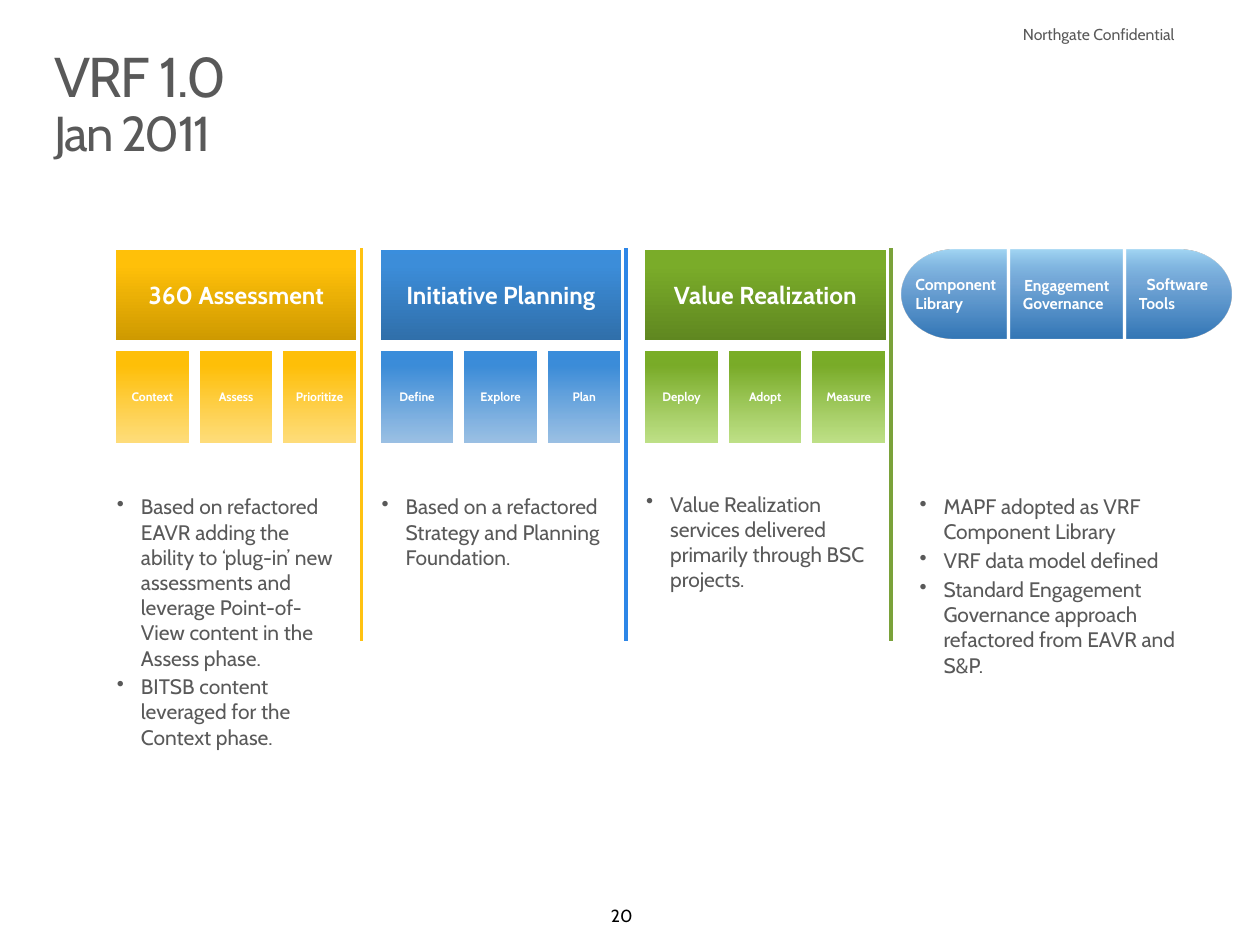
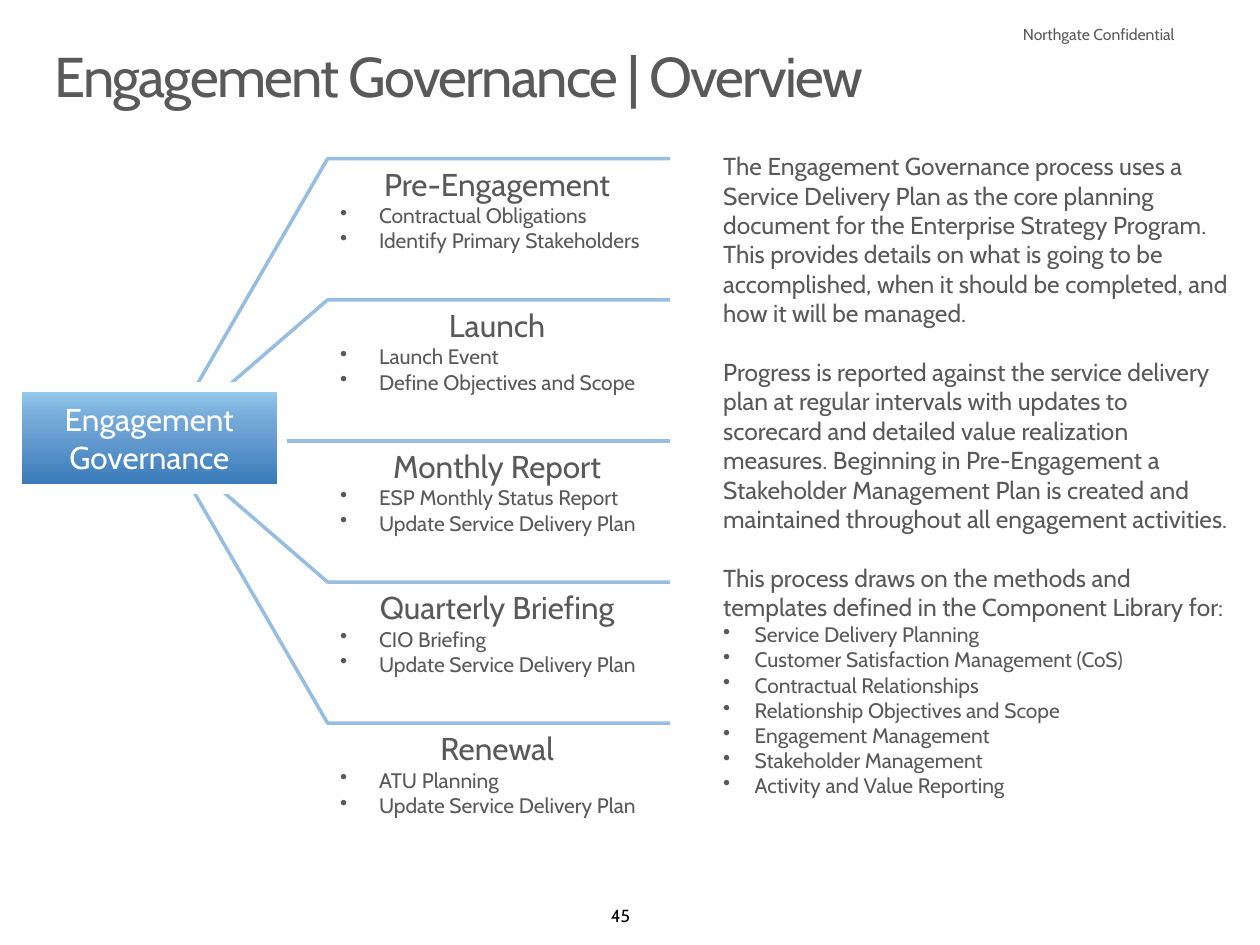
from pptx import Presentation
from pptx.dml.color import RGBColor as Rgb
from pptx.enum.shapes import MSO_CONNECTOR as Link, MSO_SHAPE as Kind
from pptx.enum.text import MSO_ANCHOR as Anchor, PP_ALIGN as Align
from pptx.oxml import parse_xml as to_xml
from pptx.oxml.ns import nsdecls as names, qn
from pptx.oxml.xmlchemy import OxmlElement as Node
from pptx.util import Inches, Pt

FONT = "Cabin"
HEX = {
    "text": "595959", "black": "000000", "white": "FFFFFF", "branch": "97BDE1",
    "gold": "FFC211", "blue": "2D86E7", "green": "7AA23A",
}
FADES = {
    "gold": ["CB9700", "FFD865", "FFC009", "FFC00A"],
    "blue": ["2F6DA7", "8BB6DF", "3C8DD9", "3A8EDD"],
    "green": ["5E8520", "B5DE73", "7AAC29", "7BAF27"],
}
GLOSS = [(0, "3477B6", 100), (63, "3B83C7", 71), (100, "A4D7F4", 100)]
MID = {"align": Align.CENTER}

PILLARS = [
    ("360 Assessment", "gold", ["Context", "Assess", "Prioritize"], 3.87, [
        "Based on refactored EAVR adding the ability to ‘plug-in’ new assessments "
        "and leverage Point-of-View content in the Assess phase.",
        "BITSB content leveraged for the Context phase."]),
    ("Initiative Planning", "blue", ["Define", "Explore", "Plan"], 3.87, [
        "Based on a refactored Strategy and Planning Foundation."]),
    ("Value Realization", "green", ["Deploy", "Adopt", "Measure"], 3.85, [
        "Value Realization services delivered primarily through BSC projects."]),
]
PILLS = [
    (["Component", "Library"], Kind.FLOWCHART_DELAY, 0.83, Align.RIGHT, (0, 0.1)),
    (["Engagement", "Governance"], Kind.FLOWCHART_PROCESS, 0.89, Align.CENTER, (0.1, 0.1)),
    (["Software", "Tools"], Kind.FLOWCHART_DELAY, 0.83, Align.LEFT, (0.1, 0)),
]
ASSETS = [
    "MAPF adopted as VRF Component Library",
    "VRF data model defined",
    "Standard Engagement Governance approach refactored from EAVR and S&P.",
]
STAGES = [
    ("Pre-Engagement", ["Contractual Obligations", "Identify Primary Stakeholders"]),
    ("Launch", ["Launch Event", "Define Objectives and Scope"]),
    ("Monthly Report", ["ESP Monthly Status Report", "Update Service Delivery Plan"]),
    ("Quarterly Briefing", ["CIO Briefing", "Update Service Delivery Plan"]),
    ("Renewal", ["ATU Planning", "Update Service Delivery Plan"]),
]
STORY = [
    "The Engagement Governance process uses a Service Delivery Plan as the core planning "
    "document for the Enterprise Strategy Program. This provides details on what is going "
    "to be accomplished, when it should be completed, and how it will be managed.",
    "Progress is reported against the service delivery plan at regular intervals with "
    "updates to scorecard and detailed value realization measures. Beginning in "
    "Pre-Engagement a Stakeholder Management Plan is created and maintained throughout "
    "all engagement activities.",
    "This process draws on the methods and templates defined in the Component Library for:",
]
METHODS = [
    "Service Delivery Planning",
    "Customer Satisfaction Management (CoS)",
    "Contractual Relationships",
    "Relationship Objectives and Scope",
    "Engagement Management",
    "Stakeholder Management",
    "Activity and Value Reporting",
]


def apply(item, looks):
    """Set each named attribute of an item."""
    for name, value in looks.items():
        setattr(item, name, value)


def ink(run, size, tone="text", bold=False):
    """Style one run of text."""
    apply(run.font, {"name": FONT, "size": Pt(size), "bold": bold})
    run.font.color.rgb = Rgb.from_string(HEX[tone])


def mark(para, indent):
    """Give a paragraph a hanging bullet."""
    props = para._p.get_or_add_pPr()
    props.set("marL", str(Inches(indent)))
    props.set("indent", str(-Inches(indent)))
    dot = Node("a:buChar")
    dot.set("char", "•")
    props.append(dot)


def write(frame, lines, size, tone="text", bold=False, indent=0, gap=0, looks=None):
    """Add lines of one style to a text frame."""
    for line in lines:
        fresh = not frame.text
        para = frame.paragraphs[0] if fresh else frame.add_paragraph()
        if indent:
            mark(para, indent)
        apply(para, {"align": Align.LEFT, "space_before": Pt(0 if fresh else gap), **(looks or {})})
        run = para.add_run()
        run.text = line
        ink(run, size, tone, bold)


def pad(frame, left=0.1, top=0.05, right=0.1, low=0.05):
    """Set the insets of a text frame."""
    apply(frame, {"margin_left": Inches(left), "margin_top": Inches(top),
                  "margin_right": Inches(right), "margin_bottom": Inches(low)})


def label(slide, box):
    """Add an empty wrapping text box and return its frame."""
    frame = slide.shapes.add_textbox(*map(Inches, box)).text_frame
    frame.word_wrap = True
    return frame


def block(slide, kind, box, edge=None, width=6):
    """Add an unfilled shape with an optional outline."""
    shape = slide.shapes.add_shape(kind, *map(Inches, box))
    shape.shadow.inherit = False
    shape.fill.background()
    if edge:
        shape.line.color.rgb = Rgb.from_string(HEX[edge])
        shape.line.width = Pt(width)
    else:
        shape.line.fill.background()
    shape.text_frame.vertical_anchor = Anchor.MIDDLE
    pad(shape.text_frame)
    return shape


def fade(shape, stops):
    """Fill a shape with a gradient that runs from bottom to top."""
    parts = "".join(
        f'<a:gs pos="{pos * 1000}"><a:srgbClr val="{tone}">'
        f'<a:alpha val="{alpha * 1000}"/></a:srgbClr></a:gs>'
        for pos, tone, alpha in stops)
    grad = to_xml(f'<a:gradFill {names("a")} rotWithShape="1"><a:gsLst>{parts}</a:gsLst>'
                  '<a:lin ang="16200000" scaled="0"/></a:gradFill>')
    props = shape.element.spPr
    props.replace(props.find(qn("a:noFill")), grad)


def rule(slide, x, top, low, tone):
    """Draw a vertical divider."""
    line = slide.shapes.add_connector(Link.STRAIGHT, *map(Inches, (x, top, x, low)))
    line.line.color.rgb = Rgb.from_string(HEX[tone])
    line.line.width = Pt(2)
    line.element.spPr.append(Node("a:effectLst"))


def base(deck, number, title, sub=None):
    """Add a slide with its title, page number and notice."""
    slide = deck.slides.add_slide(deck.slide_layouts[6])
    write(label(slide, (4.75, 7.13, 0.51, 0.27)), [number], 10, "black", looks=MID)
    write(label(slide, (8.02, 0.15, 1.64, 0.25)), ["Northgate Confidential"], 9,
          looks={"align": Align.RIGHT})
    head = label(slide, (0.43, 0.39, 9.15, 0.56))
    pad(head, 0, 0, 0, 0)
    write(head, [title], 32, looks={"line_spacing": 0.9})
    para = head.paragraphs[0]
    if sub:
        para.add_line_break()
        run = para.add_run()
        run.text = sub
        ink(run, 28)
    for run in para.runs:
        run.font._element.set("spc", "-100")
    return slide


def pillar(slide, x, y, data):
    """Draw a phase with its steps, divider and notes."""
    title, tone, steps, top, notes = data
    dark, pale, main, peak = FADES[tone]
    wide, step = 1.99, 0.66
    for i, name in enumerate(steps):
        cell = block(slide, Kind.RECTANGLE, (x + i * wide / 3, y + 0.8, step, 0.82), "white")
        fade(cell, [(0, pale, 80), (80, main, 100), (100, peak, 100)])
        write(cell.text_frame, [name], 7, "white", True, looks=MID)
        cell.text_frame.word_wrap = False
    head = block(slide, Kind.RECTANGLE, (x, y, wide, 0.8), "white")
    fade(head, [(0, dark, 100), (80, main, 100), (100, peak, 100)])
    write(head.text_frame, [title], 14, "white", True, looks=MID)
    rule(slide, x + wide, y + 0.03, y + 3.15, tone)
    write(label(slide, (x - 0.05, top, 2.01, 2.38)), notes, 12, indent=0.19, gap=2)


def capsule(slide, x, y):
    """Draw the three-part capsule of shared assets."""
    for i, (lines, kind, wide, align, sides) in enumerate(PILLS):
        part = block(slide, kind, (x, y, wide, 0.71))
        fade(part, GLOSS)
        if i == 0:
            part.element.spPr.get_or_add_xfrm().set("flipH", "1")
        frame = part.text_frame
        frame.word_wrap = False
        pad(frame, left=sides[0], right=sides[1])
        write(frame, lines, 9, "white", True, looks={"align": align})
        x += wide + 0.03


def roadmap(deck):
    """Build the slide of phases."""
    slide = base(deck, "20", "VRF 1.0", "Jan 2011")
    for i, data in enumerate(PILLARS):
        pillar(slide, 0.88 + 2.1 * i, 1.94, data)
    capsule(slide, 7.16, 1.98)
    write(label(slide, (7.2, 3.87, 2.57, 1.57)), ASSETS, 12, indent=0.19, gap=2)


def branches(slide, x, y):
    """Draw the stages, each with a line back to the hub."""
    tall, pitch = 1.24, 1.12
    for i, (name, tasks) in enumerate(STAGES):
        stage = block(slide, Kind.LINE_CALLOUT_2_NO_BORDER,
                      (x, y + i * pitch, 2.69, tall), "branch", 2)
        reach = (2 - i) * 0.9
        for n, value in enumerate((0, 1.01, 0, 0, reach, -0.48)):
            stage.adjustments[n] = value
        frame = stage.text_frame
        frame.vertical_anchor = Anchor.TOP
        write(frame, [name], 18)
        write(frame, tasks, 12, indent=0.31)


def hub(slide, box):
    """Draw the central box over a white backing."""
    back = block(slide, Kind.FLOWCHART_PROCESS, box)
    back.fill.solid()
    back.fill.fore_color.rgb = Rgb.from_string(HEX["white"])
    front = block(slide, Kind.FLOWCHART_PROCESS, box, "white")
    fade(front, GLOSS)
    write(front.text_frame, ["Engagement Governance"], 18, "white", looks=MID)


def overview(deck):
    """Build the slide on governance."""
    slide = base(deck, "45", "Engagement Governance | Overview")
    branches(slide, 2.6, 1.26)
    hub(slide, (0.13, 3.07, 2.11, 0.81))
    frame = label(slide, (5.74, 1.2, 4.03, 6.13))
    pad(frame, 0, 0, 0, 0)
    write(frame, STORY, 14, gap=16.8)
    write(frame, METHODS, 12, indent=0.25)


def main():
    """Build and save the deck."""
    deck = Presentation()
    apply(deck, {"slide_width": Inches(10), "slide_height": Inches(7.5)})
    roadmap(deck)
    overview(deck)
    deck.save("out.pptx")


if __name__ == "__main__":
    main()
